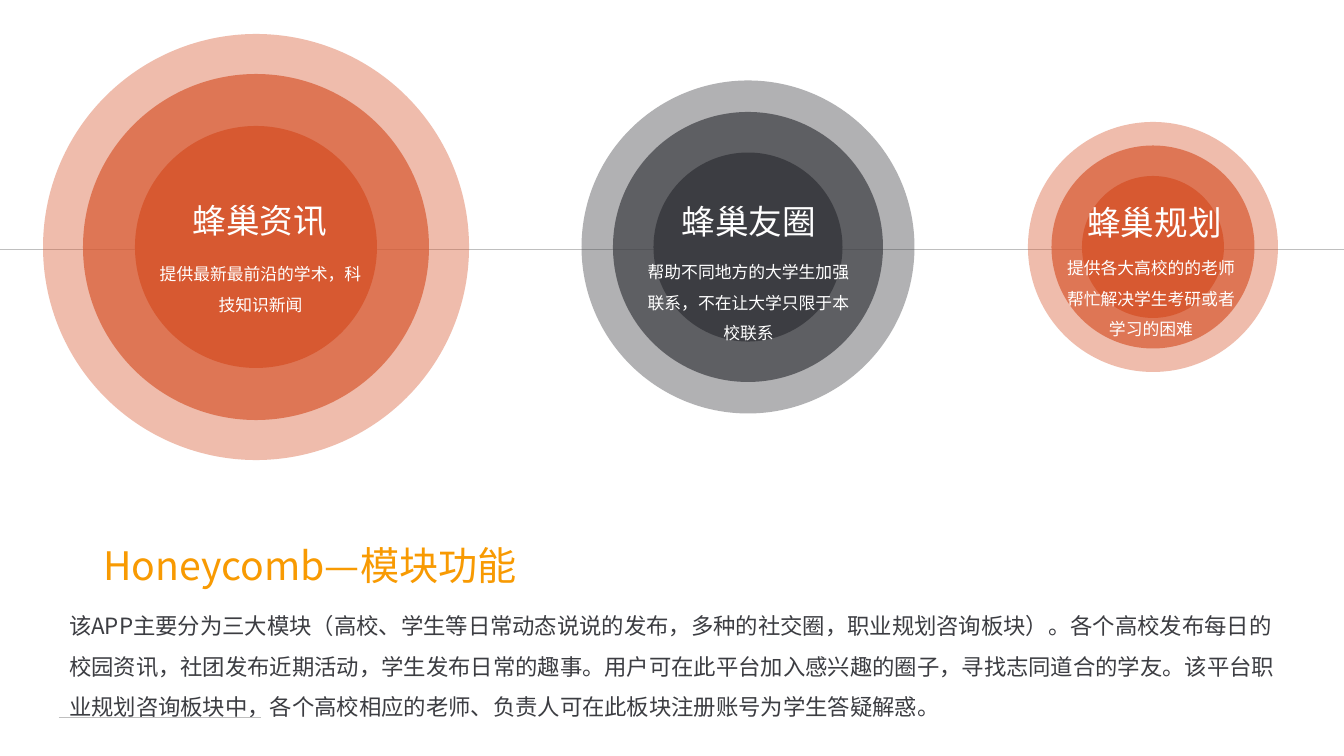
from lxml import etree
from pptx import Presentation
from pptx import util as u
from pptx.dml.color import RGBColor
from pptx.enum import shapes, text
from pptx.oxml.ns import qn

PX = 914400 / 100.8
FONT = "Noto Sans CJK SC"
ORANGE = RGBColor(0xD7, 0x59, 0x31)
CHARCOAL = RGBColor(0x3C, 0x3D, 0x42)
AMBER = RGBColor(0xF8, 0x9A, 0x02)
WHITE = RGBColor(0xFF, 0xFF, 0xFF)
GREY = RGBColor(0xBF, 0xBF, 0xBF)

RINGS = [(1, 40), (0.812, 70), (0.568, 100)]  # share of diameter, opacity %
AXIS_Y = 247

# centre x, diameter, colour, name, name box, name spacing, caption, caption box
MODULES = [
    (256, 426, ORANGE, "蜂巢资讯", (171, 175, 178, 72), 1.5,
     "提供最新最前沿的学术，科技知识新闻", (144, 249, 233, 72)),
    (748, 333, CHARCOAL, "蜂巢友圈", (654, 196, 190, 50), 1,
     "帮助不同地方的大学生加强联系，不在让大学只限于本校联系", (637, 247, 223, 102)),
    (1153, 250, ORANGE, "蜂巢规划", (1064, 197, 181, 50), 1,
     "提供各大高校的的老师帮忙解决学生考研或者学习的困难", (1056, 243, 190, 102)),
]
SUMMARY = (
    "该APP主要分为三大模块（高校、学生等日常动态说说的发布，多种的社交圈，职业规划咨询板块）。"
    "各个高校发布每日的校园资讯，社团发布近期活动，学生发布日常的趣事。"
    "用户可在此平台加入感兴趣的圈子，寻找志同道合的学友。"
    "该平台职业规划咨询板块中，各个高校相应的老师、负责人可在此板块注册账号为学生答疑解惑。"
)


def px(*lengths):
    return [u.Emu(round(length * PX)) for length in lengths]


class Painter:
    def __init__(self, page):
        self.page = page

    def line(self, x1, x2, y):
        rule = self.page.shapes.add_connector(
            shapes.MSO_CONNECTOR.STRAIGHT, *px(x1, y, x2, y))
        rule.line.color.rgb = GREY
        rule.line.width = u.Pt(0.5)
        etree.SubElement(rule._element.spPr, qn("a:effectLst"))

    def circle(self, group, centre_x, diameter, color, opacity):
        left, top = centre_x - diameter / 2, AXIS_Y - diameter / 2
        disc = group.shapes.add_shape(
            shapes.MSO_SHAPE.OVAL, *px(left, top, diameter, diameter))
        disc.shadow.inherit = False
        disc.line.fill.background()
        disc.fill.solid()
        disc.fill.fore_color.rgb = color
        if opacity < 100:
            tint = disc._element.spPr.find(".//" + qn("a:srgbClr"))
            etree.SubElement(tint, qn("a:alpha"), val=str(opacity * 1000))

    def fill_text(self, box, words, size, color, spacing=1, align=text.PP_ALIGN.CENTER):
        frame = box.text_frame
        frame.text = words
        frame.word_wrap = True
        frame.auto_size = text.MSO_AUTO_SIZE.NONE
        frame.vertical_anchor = text.MSO_ANCHOR.TOP
        para = frame.paragraphs[0]
        para.alignment = align
        para.line_spacing = spacing
        para.space_before = u.Pt(0)
        for span in para.runs:
            span.font.name = FONT
            span.font.size = u.Pt(size)
            span.font.color.rgb = color
            etree.SubElement(span.font._element, qn("a:ea"), typeface=FONT)
        return para

    def label(self, group, area, words, size, spacing):
        box = group.shapes.add_textbox(*px(*area))
        self.fill_text(box, words, size, WHITE, spacing)

    def placeholder(self, box, area, *args, **style):
        box.left, box.top, box.width, box.height = px(*area)
        return self.fill_text(box, *args, **style)

    def module(self, centre_x, diameter, color, name, name_area, name_spacing,
               caption, caption_area):
        group = self.page.shapes.add_group_shape()
        for share, opacity in RINGS:
            self.circle(group, centre_x, round(diameter * share), color, opacity)
        self.label(group, caption_area, caption, 12, 1.5)
        self.label(group, name_area, name, 24, name_spacing)


def main():
    deck = Presentation()
    deck.slide_width, deck.slide_height = px(1344, 756)
    page = deck.slides.add_slide(deck.slide_layouts[1])
    painter = Painter(page)

    painter.line(0, 1344, 249)
    for module in MODULES:
        painter.module(*module)

    title, body = page.placeholders
    painter.placeholder(title, (59, 536, 502, 58), "Honeycomb—模块功能", 28, AMBER)
    para = painter.placeholder(body, (59, 594, 1234, 132), SUMMARY, 16, CHARCOAL,
                               spacing=1.5, align=text.PP_ALIGN.LEFT)
    props = para._p.get_or_add_pPr()
    props.set("marL", "0")
    props.set("indent", "0")
    etree.SubElement(props, qn("a:buNone"))
    painter.line(59, 261, 717)

    deck.save("out.pptx")


if __name__ == "__main__":
    main()
